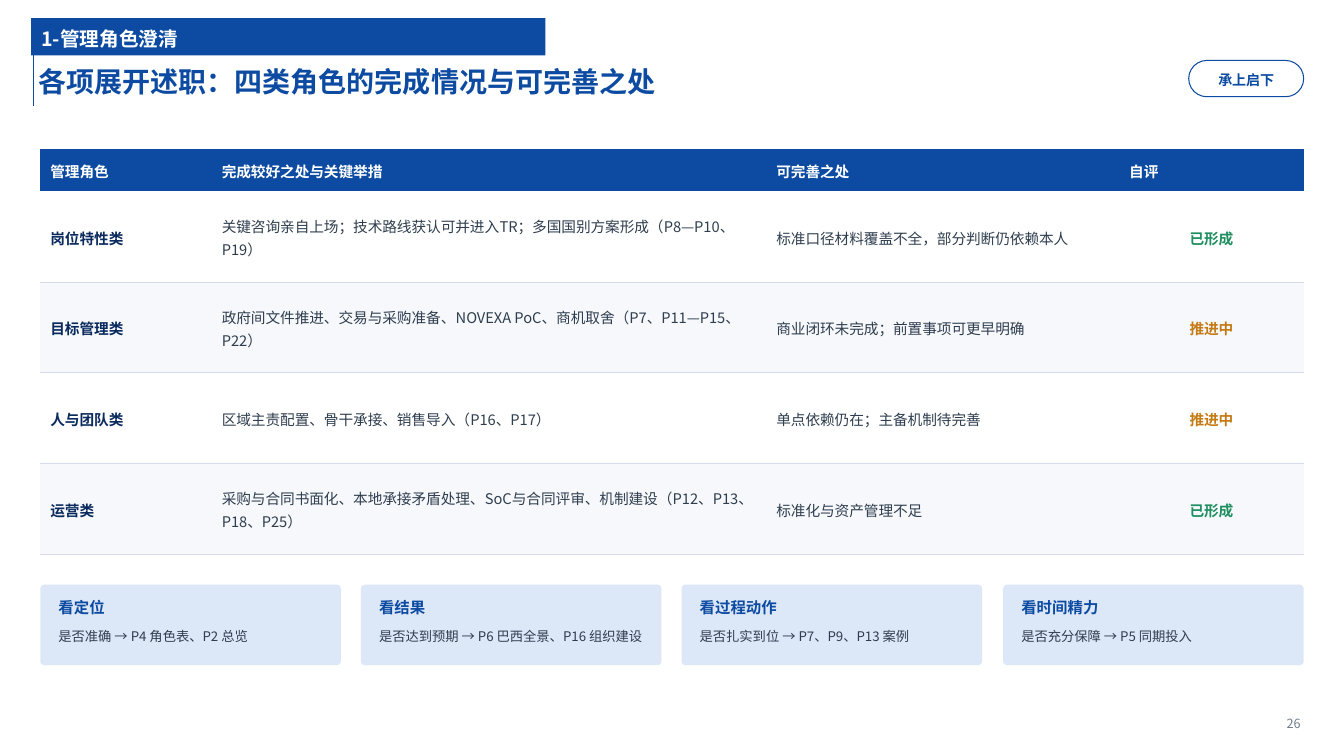
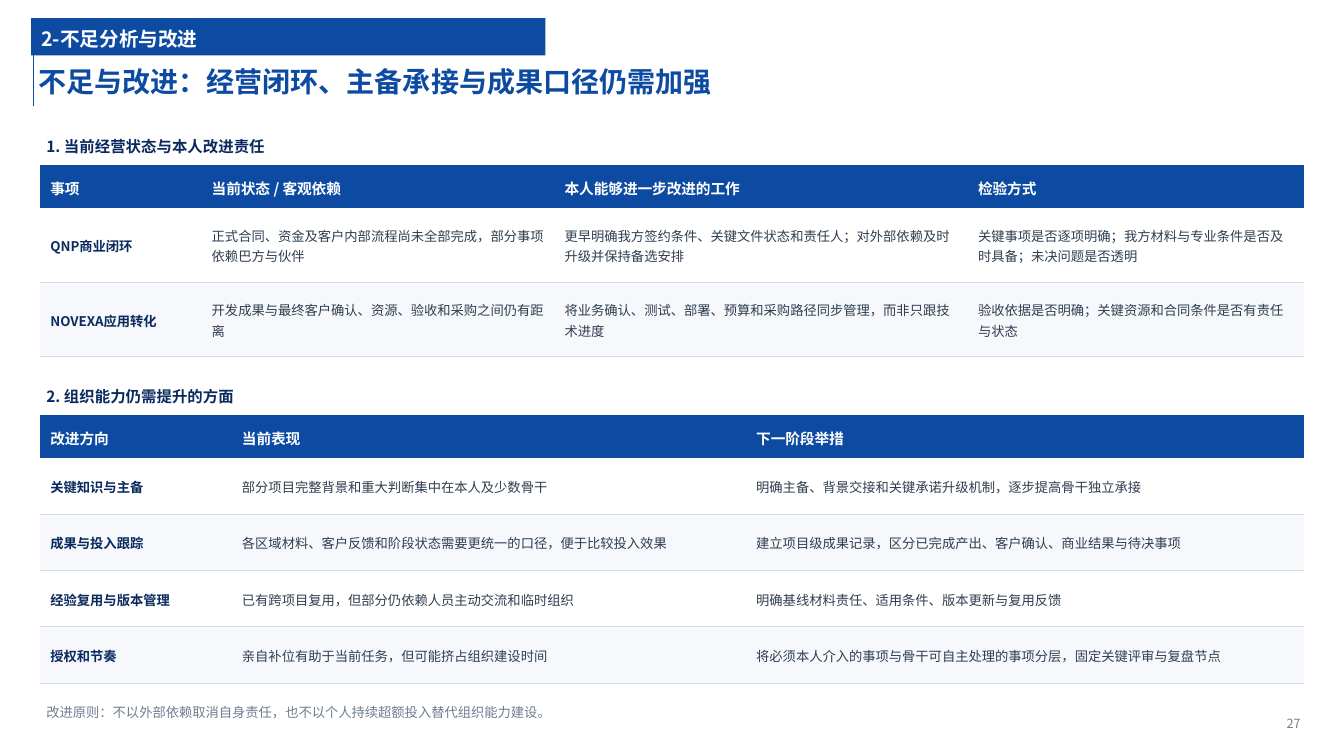
"""Build two review slides: role summary and improvement plan."""
from dataclasses import dataclass
from typing import NamedTuple

from lxml import etree
from pptx import Presentation
from pptx import util as u
from pptx.dml.color import RGBColor
from pptx.enum import shapes as es, text as et
from pptx.oxml import ns

PX = 9144
FONT = "Noto Sans CJK SC"
BLUE = RGBColor(0x0C, 0x4B, 0xA1)
NAVY = RGBColor(0x0A, 0x2A, 0x5E)
INK = RGBColor(0x2F, 0x3E, 0x4F)
GREY = RGBColor(0x6F, 0x7E, 0x8F)
WHITE = RGBColor(0xFF, 0xFF, 0xFF)
PALE = RGBColor(0xF6, 0xF8, 0xFC)
SKY = RGBColor(0xDC, 0xE7, 0xF8)
RULE = RGBColor(0xD3, 0xDC, 0xE8)
GREEN = RGBColor(0x1F, 0x8F, 0x5F)
AMBER = RGBColor(0xC5, 0x7B, 0x14)
PLAIN_GRID = "{2D5ABB26-0587-4C30-8999-92F81FD0307C}"
LEFT, WIDE = 40, 1253
LEAD, CENTER, TRAIL = et.PP_ALIGN.LEFT, et.PP_ALIGN.CENTER, et.PP_ALIGN.RIGHT
MID, TOP = et.MSO_ANCHOR.MIDDLE, et.MSO_ANCHOR.TOP


class Box(NamedTuple):
    """Place and size in px."""
    x: int
    y: int
    w: int
    h: int

    def emu(self) -> list[int]:
        return [u.Emu(n * PX) for n in self]


class Inset(NamedTuple):
    """Text margins in px."""
    left: int
    top: int
    right: int
    base: int


NOTE_PAD = Inset(6, 4, 6, 4)


@dataclass(frozen=True)
class Look:
    """Type style of one paragraph."""
    size: float
    color: RGBColor
    bold: bool = False
    align: et.PP_ALIGN = LEAD
    lead: float = 1.12
    after: int = 0


@dataclass(frozen=True)
class Grid:
    """One table with its sizes and words."""
    top: int
    cols: list[int]
    tall: int
    size: float
    head: list[str]
    rows: list[list[str]]


@dataclass(frozen=True)
class Card:
    """Heading and hint of one card."""
    head: str
    hint: str


STATES = {"已形成": GREEN, "推进中": AMBER}
HEAD = Look(10.5, WHITE, True)
TITLE = Look(20, BLUE, True)
BAND = Look(14, WHITE, True)
PILL = Look(10, BLUE, True, CENTER)
PAGE = Look(9, GREY, align=TRAIL)
SECTION = Look(11, NAVY, True)
TOPIC = Look(11, BLUE, True)
HINT = Look(9.5, INK)
CLOSE = Look(9.5, GREY, after=3)

ROLES = Grid(148, [170, 550, 350, 183], 90, 10.5,
             ["管理角色", "完成较好之处与关键举措", "可完善之处", "自评"], [
    ["岗位特性类", "关键咨询亲自上场；技术路线获认可并进入TR；多国国别方案形成（P8—P10、P19）",
     "标准口径材料覆盖不全，部分判断仍依赖本人", "已形成"],
    ["目标管理类", "政府间文件推进、交易与采购准备、NOVEXA PoC、商机取舍（P7、P11—P15、P22）",
     "商业闭环未完成；前置事项可更早明确", "推进中"],
    ["人与团队类", "区域主责配置、骨干承接、销售导入（P16、P17）",
     "单点依赖仍在；主备机制待完善", "推进中"],
    ["运营类", "采购与合同书面化、本地承接矛盾处理、SoC与合同评审、机制建设（P12、P13、P18、P25）",
     "标准化与资产管理不足", "已形成"],
])
DUTIES = Grid(164, [160, 350, 410, 333], 74, 9.5,
              ["事项", "当前状态 / 客观依赖", "本人能够进一步改进的工作", "检验方式"], [
    ["QNP商业闭环", "正式合同、资金及客户内部流程尚未全部完成，部分事项依赖巴方与伙伴",
     "更早明确我方签约条件、关键文件状态和责任人；对外部依赖及时升级并保持备选安排",
     "关键事项是否逐项明确；我方材料与专业条件是否及时具备；未决问题是否透明"],
    ["NOVEXA应用转化", "开发成果与最终客户确认、资源、验收和采购之间仍有距离",
     "将业务确认、测试、部署、预算和采购路径同步管理，而非只跟技术进度",
     "验收依据是否明确；关键资源和合同条件是否有责任与状态"],
])
SKILLS = Grid(412, [190, 510, 553], 56, 9.5, ["改进方向", "当前表现", "下一阶段举措"], [
    ["关键知识与主备", "部分项目完整背景和重大判断集中在本人及少数骨干",
     "明确主备、背景交接和关键承诺升级机制，逐步提高骨干独立承接"],
    ["成果与投入跟踪", "各区域材料、客户反馈和阶段状态需要更统一的口径，便于比较投入效果",
     "建立项目级成果记录，区分已完成产出、客户确认、商业结果与待决事项"],
    ["经验复用与版本管理", "已有跨项目复用，但部分仍依赖人员主动交流和临时组织",
     "明确基线材料责任、适用条件、版本更新与复用反馈"],
    ["授权和节奏", "亲自补位有助于当前任务，但可能挤占组织建设时间",
     "将必须本人介入的事项与骨干可自主处理的事项分层，固定关键评审与复盘节点"],
])
CARDS = [
    Card("看定位", "是否准确 → P4 角色表、P2 总览"),
    Card("看结果", "是否达到预期 → P6 巴西全景、P16 组织建设"),
    Card("看过程动作", "是否扎实到位 → P7、P9、P13 案例"),
    Card("看时间精力", "是否充分保障 → P5 同期投入"),
]


def write(frame, words: str, look: Look) -> None:
    """Fill a text frame with one styled paragraph."""
    frame.text = words
    para = frame.paragraphs[0]
    para.alignment = look.align
    para.line_spacing = look.lead
    para.space_before = u.Pt(0)
    para.space_after = u.Pt(look.after)
    font = para.font
    font.name, font.size, font.bold = FONT, u.Pt(look.size), look.bold
    font.color.rgb = look.color
    base = para._p.pPr.find(ns.qn("a:defRPr"))
    etree.SubElement(base, ns.qn("a:ea"), typeface=FONT)


def fit(frame, pad: Inset, anchor: et.MSO_ANCHOR = MID) -> None:
    """Set wrapping, margins and anchor of a text frame."""
    frame.word_wrap = True
    frame.auto_size = et.MSO_AUTO_SIZE.NONE
    frame.vertical_anchor = anchor
    frame.margin_left, frame.margin_top, frame.margin_right, frame.margin_bottom = (
        u.Emu(n * PX) for n in pad)


def label(slide, box: Box, words: str, look: Look,
          pad: Inset = NOTE_PAD, anchor: et.MSO_ANCHOR = MID) -> None:
    """Add a text box."""
    frame = slide.shapes.add_textbox(*box.emu()).text_frame
    fit(frame, pad, anchor)
    write(frame, words, look)


def holder(shape, box: Box, words: str, look: Look, pad: Inset) -> None:
    """Move a placeholder and fill it."""
    shape.left, shape.top, shape.width, shape.height = box.emu()
    fit(shape.text_frame, pad)
    write(shape.text_frame, words, look)


def panel(slide, box: Box, curve: float, fill: RGBColor):
    """Add a rounded panel without outline."""
    shape = slide.shapes.add_shape(es.MSO_SHAPE.ROUNDED_RECTANGLE, *box.emu())
    shape.adjustments[0] = curve
    shape.shadow.inherit = False
    shape.fill.solid()
    shape.fill.fore_color.rgb = fill
    shape.line.fill.background()
    return shape


def start(deck, band: str, title: str, page: int):
    """Add a slide with side line, title, band and page number."""
    slide = deck.slides.add_slide(deck.slide_layouts[2])
    line = slide.shapes.add_connector(
        es.MSO_CONNECTOR.STRAIGHT, *(u.Emu(n * PX) for n in (33, 24, 33, 105)))
    line.line.color.rgb = BLUE
    line.line.width = u.Pt(1)
    etree.SubElement(line._element.spPr, ns.qn("a:effectLst"))
    slide.shapes._spTree.insert(2, line._element)
    holder(slide.shapes.title, Box(33, 53, 1150, 52), title, TITLE, Inset(5, 0, 5, 0))
    body = slide.placeholders[1]
    holder(body, Box(31, 18, 510, 37), band, BAND, Inset(10, 0, 5, 0))
    body.fill.solid()
    body.fill.fore_color.rgb = BLUE
    label(slide, Box(1200, 702, 95, 30), str(page), PAGE, Inset(0, 0, 5, 0))
    return slide


def cell_look(words: str, col: int, size: float) -> Look:
    """Choose the style of a body cell."""
    if words in STATES:
        return Look(size, STATES[words], True, CENTER, 1.08, 2)
    return Look(size, INK if col else NAVY, not col, LEAD, 1.08, 2)


def rule(cell) -> None:
    """Draw the lower border of a cell."""
    edge = etree.Element(ns.qn("a:lnB"), w=str(u.Pt(0.75)))
    fill = etree.SubElement(edge, ns.qn("a:solidFill"))
    etree.SubElement(fill, ns.qn("a:srgbClr"), val=str(RULE))
    cell._tc.get_or_add_tcPr().insert(0, edge)


def table(slide, grid: Grid) -> None:
    """Add a table with a blue head and striped rows."""
    lines = [grid.head, *grid.rows]
    talls = [42] + [grid.tall] * len(grid.rows)
    box = Box(LEFT, grid.top, sum(grid.cols), sum(talls))
    tab = slide.shapes.add_table(len(lines), len(grid.cols), *box.emu()).table
    tab.first_row = tab.horz_banding = False
    tab._tbl.tblPr.find(ns.qn("a:tableStyleId")).text = PLAIN_GRID
    for col, width in zip(tab.columns, grid.cols):
        col.width = u.Emu(width * PX)
    for r, (line, tall) in enumerate(zip(lines, talls)):
        tab.rows[r].height = u.Emu(tall * PX)
        for c, words in enumerate(line):
            cell = tab.cell(r, c)
            cell.vertical_anchor = MID
            cell.fill.solid()
            cell.fill.fore_color.rgb = (WHITE if r % 2 else PALE) if r else BLUE
            write(cell.text_frame, words, cell_look(words, c, grid.size) if r else HEAD)
            if r:
                rule(cell)


def cards(slide, items: list[Card]) -> None:
    """Add a row of equal cards."""
    top, width = 580, 298
    for i, card in enumerate(items):
        x = LEFT + i * (WIDE - width) // (len(items) - 1)
        panel(slide, Box(x, top, width, 80), 0.05, SKY)
        label(slide, Box(x + 12, top + 5, width - 24, 32), card.head, TOPIC)
        label(slide, Box(x + 12, top + 37, width - 24, 40), card.hint, HINT, anchor=TOP)


def roles(deck) -> None:
    """Build the role summary slide."""
    slide = start(deck, "1-管理角色澄清", "各项展开述职：四类角色的完成情况与可完善之处", 26)
    pill = panel(slide, Box(1179, 60, 114, 36), 0.5, WHITE)
    pill.line.color.rgb = BLUE
    pill.line.width = u.Pt(0.75)
    fit(pill.text_frame, Inset(4, 0, 4, 0))
    write(pill.text_frame, "承上启下", PILL)
    table(slide, ROLES)
    cards(slide, CARDS)


def gaps(deck) -> None:
    """Build the improvement slide."""
    slide = start(deck, "2-不足分析与改进", "不足与改进：经营闭环、主备承接与成果口径仍需加强", 27)
    for head, grid in (("1. 当前经营状态与本人改进责任", DUTIES),
                       ("2. 组织能力仍需提升的方面", SKILLS)):
        label(slide, Box(LEFT, grid.top - 36, 600, 32), head, SECTION)
        table(slide, grid)
    label(slide, Box(LEFT, 688, WIDE, 36),
          "改进原则：不以外部依赖取消自身责任，也不以个人持续超额投入替代组织能力建设。", CLOSE)


def main() -> None:
    """Build and save the deck."""
    deck = Presentation()
    deck.slide_width, deck.slide_height = u.Emu(1333 * PX), u.Emu(750 * PX)
    roles(deck)
    gaps(deck)
    deck.save("out.pptx")


if __name__ == "__main__":
    main()
